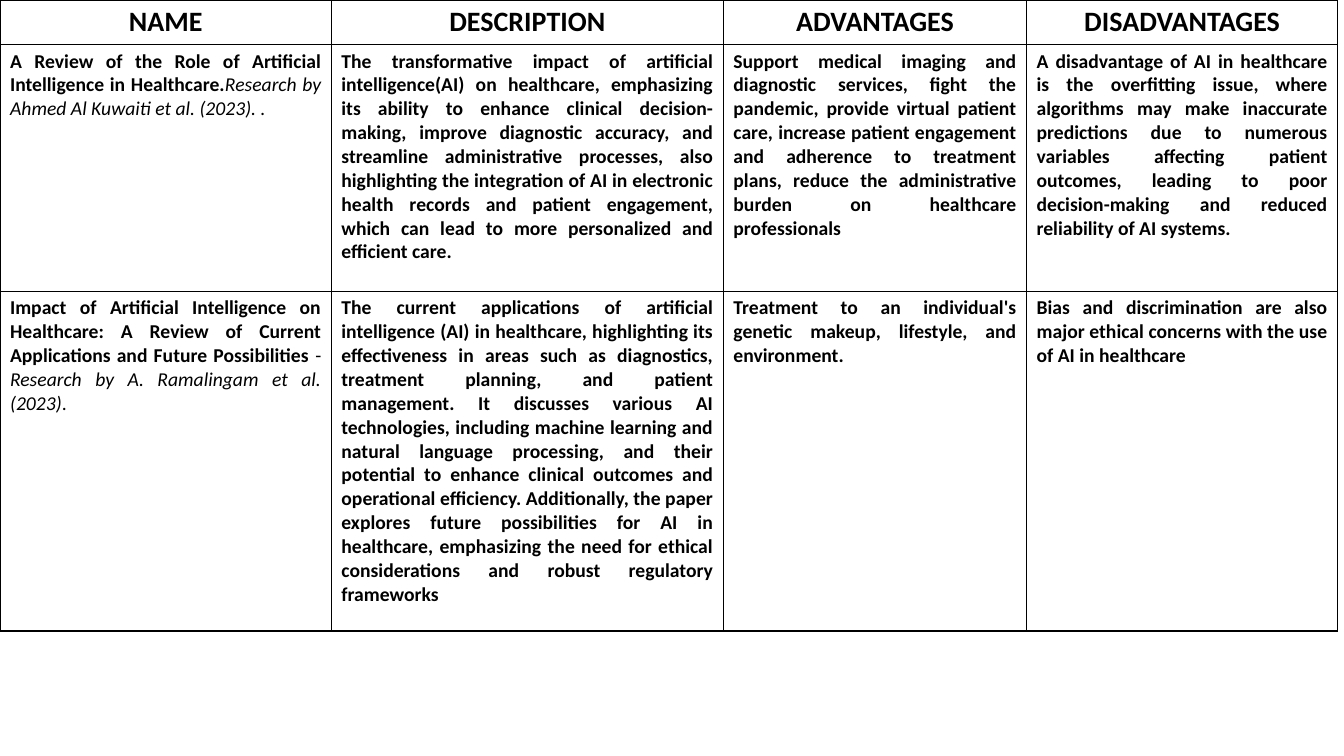
from dataclasses import dataclass

from lxml import etree
from pptx import Presentation
from pptx.dml.color import RGBColor
from pptx.enum.text import MSO_ANCHOR, PP_ALIGN
from pptx.oxml.ns import qn
from pptx.table import _Cell
from pptx.util import Cm, Pt

CENTER = PP_ALIGN.CENTER
JUSTIFY = PP_ALIGN.JUSTIFY
TOP = MSO_ANCHOR.TOP
MIDDLE = MSO_ANCHOR.MIDDLE

BLACK = RGBColor(0x00, 0x00, 0x00)
FONT_NAME = "Calibri"
BORDER_WIDTH = Pt(1)
COLUMN_WIDTHS = (8.35, 9.88, 7.64, 7.84)
ROW_HEIGHTS = (1.1, 6.22, 8.56)


@dataclass(frozen=True)
class Piece:
    text: str
    bold: bool = True
    italic: bool = False


@dataclass(frozen=True)
class RowStyle:
    size: int
    alignment: PP_ALIGN
    anchor: MSO_ANCHOR


@dataclass(frozen=True)
class Study:
    name: tuple[Piece, ...]
    description: str
    advantages: str
    disadvantages: str


HEADER_STYLE = RowStyle(20, CENTER, MIDDLE)
BODY_STYLE = RowStyle(14, JUSTIFY, TOP)
HEADINGS = ("NAME", "DESCRIPTION", "ADVANTAGES", "DISADVANTAGES")

STUDIES = (
    Study(
        (
            Piece("A Review of the Role of Artificial Intelligence in Healthcare."),
            Piece("Research by Ahmed Al Kuwaiti et al. (2023). . ", bold=False, italic=True),
        ),
        "The transformative impact of artificial intelligence(AI) on healthcare, "
        "emphasizing its ability to enhance clinical decision-making, improve diagnostic "
        "accuracy, and streamline administrative processes, also highlighting the "
        "integration of AI in electronic health records and patient engagement, which "
        "can lead to more personalized and efficient care.",
        "Support medical imaging and diagnostic services, fight the pandemic, provide "
        "virtual patient care, increase patient engagement and adherence to treatment "
        "plans, reduce the administrative burden on healthcare professionals",
        "A disadvantage of AI in healthcare is the overfitting issue, where algorithms "
        "may make inaccurate predictions due to numerous variables affecting patient "
        "outcomes, leading to poor decision-making and reduced reliability of AI systems.",
    ),
    Study(
        (
            Piece(
                "Impact of Artificial Intelligence on Healthcare: A Review of Current "
                "Applications and Future Possibilities"
            ),
            Piece(" - ", bold=False),
            Piece("Research by A. Ramalingam et al. (2023)", bold=False, italic=True),
            Piece(".", bold=False),
        ),
        "The current applications of artificial intelligence (AI) in healthcare, "
        "highlighting its effectiveness in areas such as diagnostics, treatment planning, "
        "and patient management. It discusses various AI technologies, including machine "
        "learning and natural language processing, and their potential to enhance clinical "
        "outcomes and operational efficiency. Additionally, the paper explores future "
        "possibilities for AI in healthcare, emphasizing the need for ethical "
        "considerations and robust regulatory frameworks",
        "Treatment to an individual's genetic makeup, lifestyle, and environment.",
        "Bias and discrimination are also major ethical concerns with the use of AI in "
        "healthcare",
    ),
)


def draw_borders(cell: _Cell) -> None:
    properties = cell._tc.get_or_add_tcPr()
    for index, side in enumerate(("lnL", "lnR", "lnT", "lnB")):
        line = etree.Element(qn(f"a:{side}"), w=str(BORDER_WIDTH))
        fill = etree.SubElement(line, qn("a:solidFill"))
        etree.SubElement(fill, qn("a:srgbClr"), val=str(BLACK))
        properties.insert(index, line)


def fill_cell(cell: _Cell, pieces: tuple[Piece, ...], style: RowStyle) -> None:
    cell.fill.background()
    draw_borders(cell)
    cell.vertical_anchor = style.anchor
    paragraph = cell.text_frame.paragraphs[0]
    paragraph.alignment = style.alignment
    paragraph.font.name = FONT_NAME
    paragraph.font.size = Pt(style.size)
    paragraph.font.color.rgb = BLACK
    if len(pieces) == 1:
        paragraph.font.bold = pieces[0].bold
    for piece in pieces:
        run = paragraph.add_run()
        run.text = piece.text
        if len(pieces) > 1:
            run.font.bold = piece.bold
            run.font.italic = piece.italic


def main() -> None:
    presentation = Presentation()
    presentation.slide_width = Cm(33.87)
    presentation.slide_height = Cm(19.05)
    slide = presentation.slides.add_slide(presentation.slide_layouts[6])

    table = slide.shapes.add_table(
        len(ROW_HEIGHTS), len(COLUMN_WIDTHS), Cm(0), Cm(0),
        Cm(sum(COLUMN_WIDTHS)), Cm(sum(ROW_HEIGHTS)),
    ).table
    table.first_row = False
    table.horz_banding = False
    for column, width in zip(table.columns, COLUMN_WIDTHS):
        column.width = Cm(width)
    for row, height in zip(table.rows, ROW_HEIGHTS):
        row.height = Cm(height)

    for cell, heading in zip(table.rows[0].cells, HEADINGS):
        fill_cell(cell, (Piece(heading),), HEADER_STYLE)
    for row_index, study in enumerate(STUDIES, start=1):
        details = (study.description, study.advantages, study.disadvantages)
        contents = (study.name, *((Piece(text),) for text in details))
        for cell, pieces in zip(table.rows[row_index].cells, contents):
            fill_cell(cell, pieces, BODY_STYLE)

    presentation.save("out.pptx")


if __name__ == "__main__":
    main()
